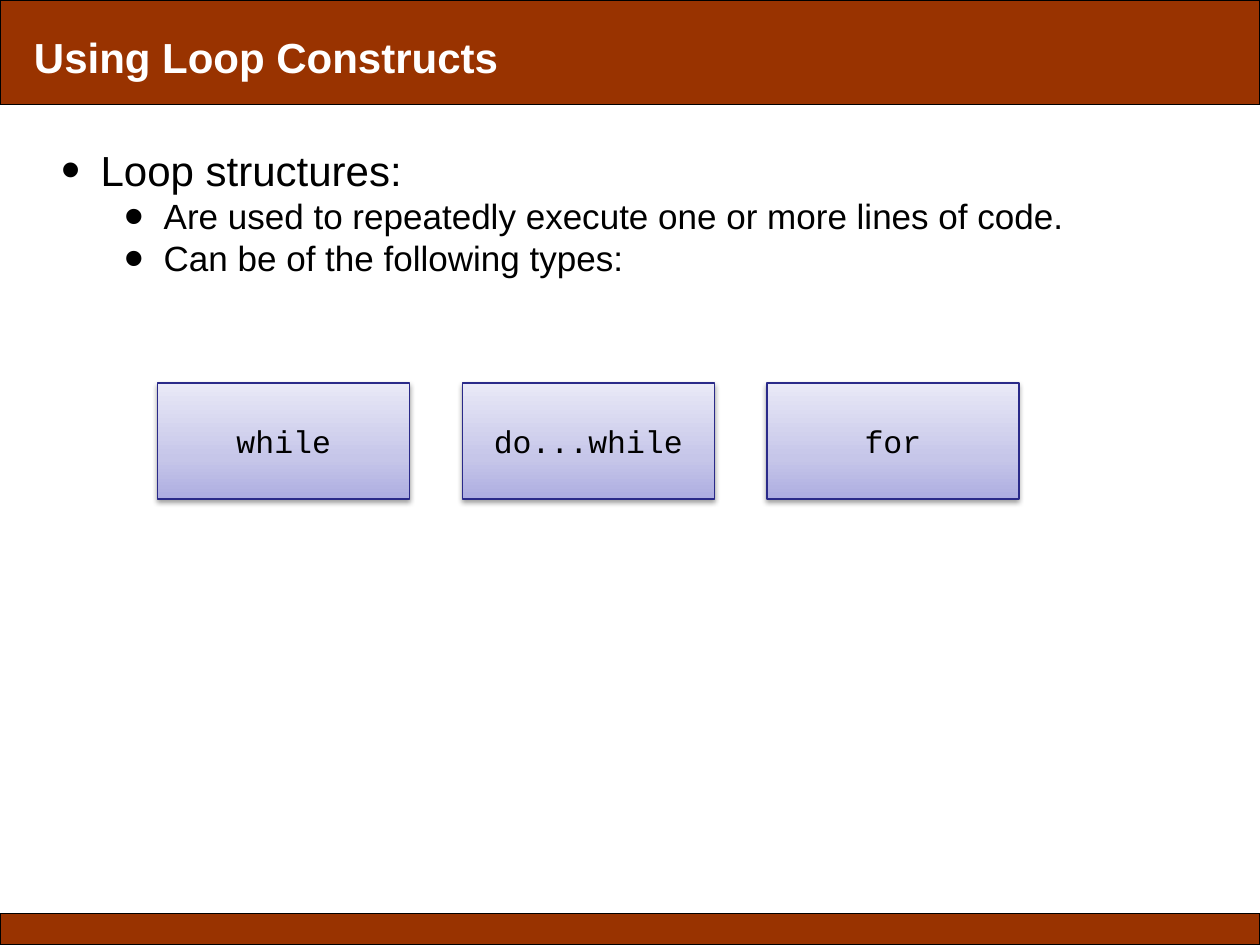
import pptx
import pptx.util
import pptx.dml.color
import pptx.enum.shapes
import pptx.enum.text
import pptx.oxml
import pptx.oxml.ns
from lxml import etree

Cm, Pt = pptx.util.Cm, pptx.util.Pt
RGB = pptx.dml.color.RGBColor.from_string
SHAPE = pptx.enum.shapes.MSO_SHAPE
ALIGN = pptx.enum.text.PP_ALIGN
ANCHOR = pptx.enum.text.MSO_ANCHOR
qn = pptx.oxml.ns.qn

# Content
TITLE = "Using Loop Constructs"
BULLETS = [  # level, text
    (0, "Loop structures:"),
    (1, "Are used to repeatedly execute one or more lines of code."),
    (1, "Can be of the following types:"),
]
LOOP_TYPES = ["while", "do...while", "for"]

THEME = {
    "font": "Arial", "code_font": "Courier New",
    "text": "000000", "title_text": "FFFFFF",
    "bar": "993300", "bar_line": "000000", "box_line": "2A2A89",
    "box_stops": [(0, "ADADE1"), (35, "C6C6E9"), (100, "E9E9F7")],
    "title_size": 24, "code_size": 18, "line_width": 0.75,
    # per level: type size, left indent in cm, bullet size in percent
    "levels": [(24, 0.79, 130), (20, 2.06, 160)],
}
HANGING = 0.79
SLIDE_W, SLIDE_H = 25.4, 19.05
BOX_LEFT, BOX_TOP, BOX_W, BOX_H, BOX_PITCH = 3.18, 7.72, 5.08, 2.34, 6.14


def add_run(p, text, size, color, font=THEME["font"], bold=False):
    r = p.add_run()
    r.text = text
    r.font.name, r.font.size, r.font.bold = font, Pt(size), bold
    r.font.color.rgb = RGB(color)


def set_line(shape, color):
    shape.line.color.rgb = RGB(color)
    shape.line.width = Pt(THEME["line_width"])


def add_bar(s, top, height):
    bar = s.shapes.add_shape(SHAPE.RECTANGLE, 0, Cm(top), Cm(SLIDE_W), Cm(height))
    bar.shadow.inherit = False
    bar.fill.solid()
    bar.fill.fore_color.rgb = RGB(THEME["bar"])
    set_line(bar, THEME["bar_line"])
    s.shapes.title.element.addprevious(bar.element)  # keep the title in front


def set_bullet(p, indent, percent):
    pPr = p._p.get_or_add_pPr()
    pPr.set("marL", str(Cm(indent)))
    pPr.set("indent", str(-Cm(HANGING)))
    etree.SubElement(pPr, qn("a:buSzPct"), val=str(percent * 1000))
    etree.SubElement(pPr, qn("a:buFont"), typeface=THEME["font"])
    etree.SubElement(pPr, qn("a:buChar"), char="•")


def set_gradient(shape, stops):
    shape.fill.gradient()
    shape.fill.gradient_angle = 90
    stop_list = shape.element.spPr.find(".//" + qn("a:gsLst"))
    for old in list(stop_list):
        stop_list.remove(old)
    for position, color in stops:
        stop = etree.SubElement(stop_list, qn("a:gs"), pos=str(position * 1000))
        etree.SubElement(stop, qn("a:srgbClr"), val=color)


def set_shadow(shape):
    shape.shadow.inherit = False
    effects = shape.element.spPr.find(qn("a:effectLst"))
    shadow = etree.SubElement(effects, qn("a:outerShdw"), blurRad=str(Pt(3.1)),
                              dist=str(Pt(1.6)), dir="5400000", rotWithShape="0")
    color = etree.SubElement(shadow, qn("a:srgbClr"), val="000000")
    etree.SubElement(color, qn("a:alpha"), val="38000")


def add_loop_box(s, left, text):
    box = s.shapes.add_shape(SHAPE.FLOWCHART_PROCESS, Cm(left), Cm(BOX_TOP), Cm(BOX_W), Cm(BOX_H))
    set_gradient(box, THEME["box_stops"])
    set_line(box, THEME["box_line"])
    set_shadow(box)
    tf = box.text_frame
    tf.vertical_anchor = ANCHOR.MIDDLE
    p = tf.paragraphs[0]
    p.alignment = ALIGN.CENTER
    add_run(p, text, THEME["code_size"], THEME["text"], THEME["code_font"])


def main():
    prs = pptx.Presentation()
    prs.slide_width, prs.slide_height = Cm(SLIDE_W), Cm(SLIDE_H)
    s = prs.slides.add_slide(prs.slide_layouts[5])

    # Bars at the foot and head
    add_bar(s, 18.42, 0.63)
    add_bar(s, 0, 2.11)

    # Title
    title = s.shapes.title
    title.left, title.top, title.width, title.height = Cm(0.43), Cm(0.51), Cm(18.62), Cm(1.27)
    tf = title.text_frame
    tf.word_wrap = True
    tf.auto_size = pptx.enum.text.MSO_AUTO_SIZE.NONE
    tf.vertical_anchor = ANCHOR.TOP
    p = tf.paragraphs[0]
    p.alignment = ALIGN.LEFT
    add_run(p, TITLE, THEME["title_size"], THEME["title_text"], bold=True)

    # Bulleted text
    tf = s.shapes.add_textbox(Cm(0.99), Cm(2.79), Cm(20.88), Cm(4.01)).text_frame
    tf.word_wrap = True
    for i, (level, text) in enumerate(BULLETS):
        p = tf.paragraphs[0] if i == 0 else tf.add_paragraph()
        size, indent, percent = THEME["levels"][level]
        p.level = level
        set_bullet(p, indent, percent)
        add_run(p, text, size, THEME["text"])

    # Row of loop types
    for i, text in enumerate(LOOP_TYPES):
        add_loop_box(s, BOX_LEFT + i * BOX_PITCH, text)

    prs.save("out.pptx")


if __name__ == "__main__":
    main()
